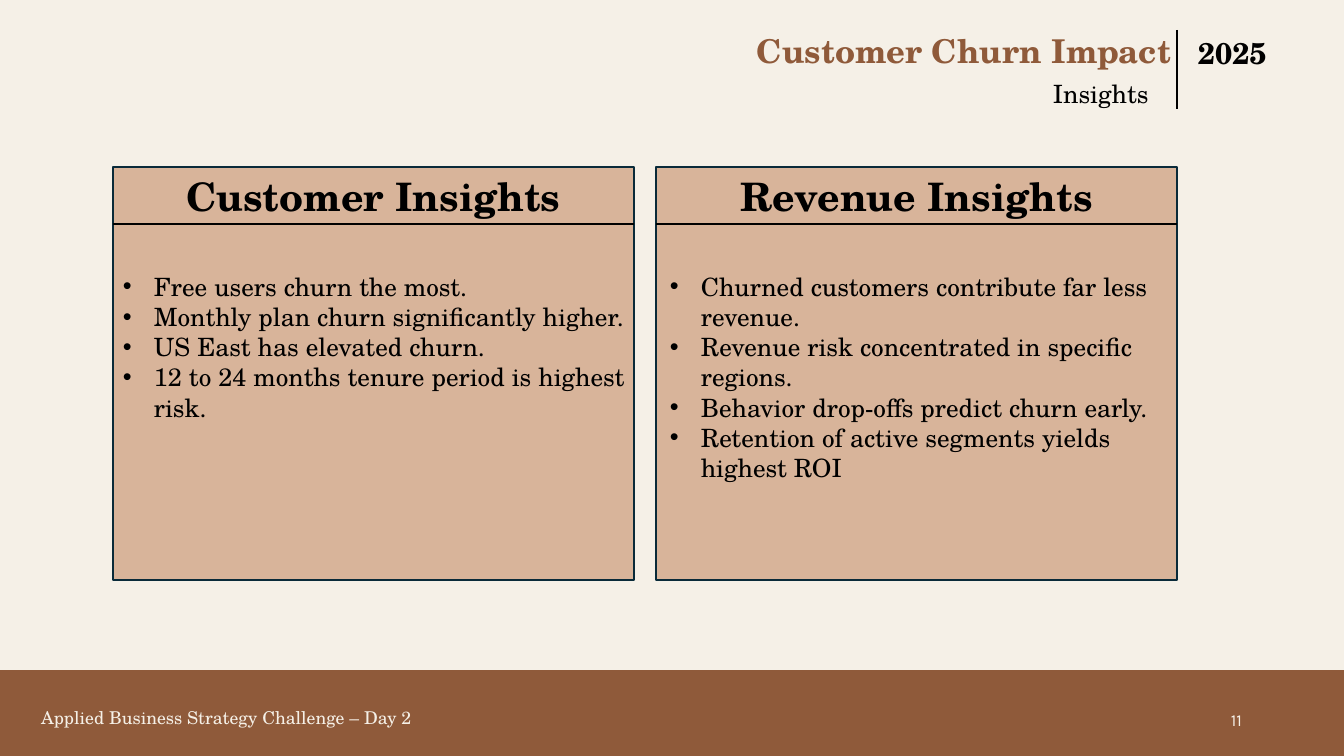
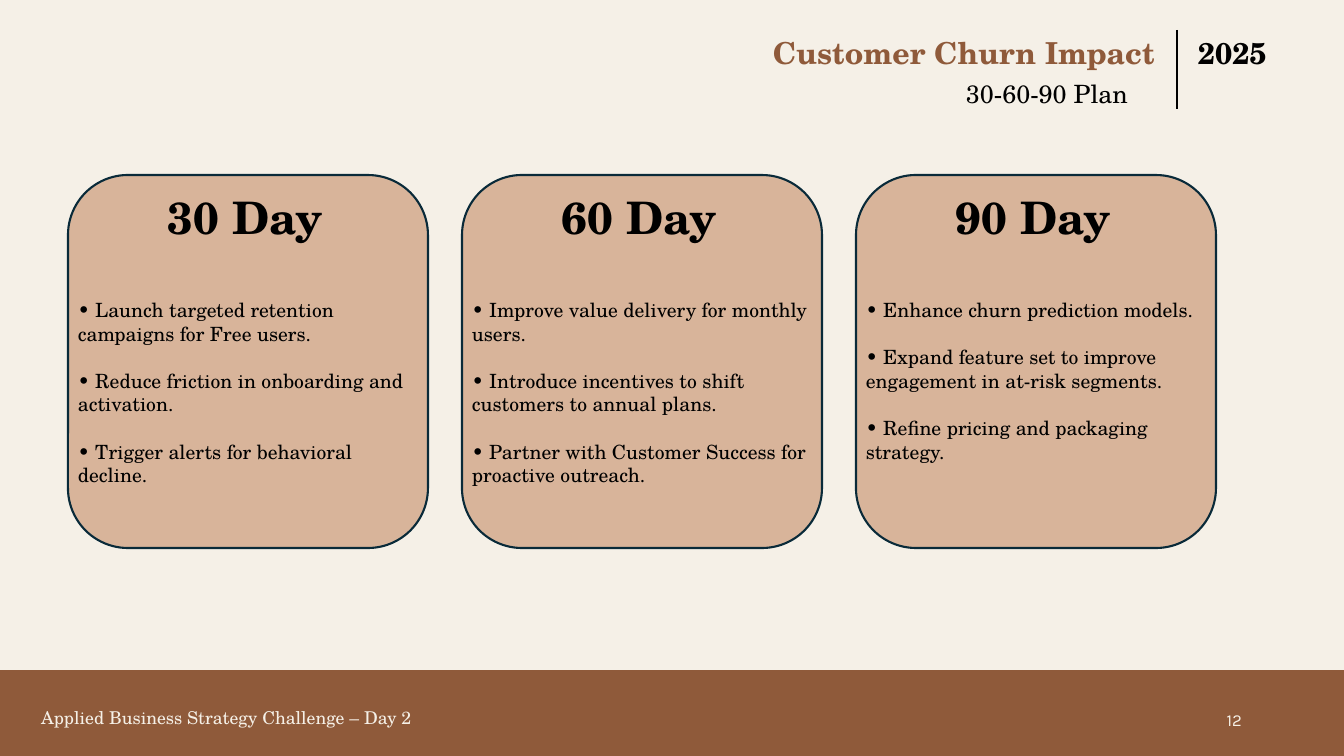
from lxml.etree import SubElement
from pptx import Presentation
from pptx.dml.color import RGBColor
from pptx.enum.shapes import MSO_CONNECTOR, MSO_SHAPE
from pptx.enum.text import MSO_ANCHOR, MSO_AUTO_SIZE, PP_ALIGN
from pptx.oxml.ns import qn
from pptx.util import Pt

EMU_PER_PX = 914400 / 100.8


def px(n):
    """Turn pixels into EMU."""
    return round(n * EMU_PER_PX)


def rgb(code):
    """Turn a hex string into a colour."""
    return RGBColor.from_string(code)


class Deck:
    """Hold the shared style and the current slide."""

    FONT = "TeX Gyre Schola"
    NUMBER_FONT = "Karla"
    PAPER = "F5F0E7"
    BROWN = "8F5A3A"
    TAN = "D8B49A"
    NAVY = "092A39"
    BLACK = "000000"

    def __init__(self):
        """Start a presentation with its size and background."""
        self.prs = Presentation()
        self.prs.slide_width, self.prs.slide_height = px(1344), px(756)
        fill = self.prs.slide_master.background.fill
        fill.solid()
        fill.fore_color.rgb = rgb(self.PAPER)
        self.s = None

    def add_slide(self, number, subtitle, subtitle_x, title_size):
        """Add a slide with its header and footer band."""
        self.s = self.prs.slides.add_slide(self.prs.slide_layouts[5])
        self.box(0, 670, 1344, 86, self.BROWN)
        self.text(8, 692, 436, 40, ["Applied Business Strategy Challenge – Day 2"], 12.6,
                  color=self.PAPER, align=PP_ALIGN.CENTER, anchor=MSO_ANCHOR.BOTTOM, spacing=0.7)
        self.text(950, 700, 302, 40, [str(number)], 12, color=self.PAPER,
                  align=PP_ALIGN.RIGHT, anchor=MSO_ANCHOR.MIDDLE, font=self.NUMBER_FONT)

        title = self.s.shapes.title
        title.left, title.top, title.width, title.height = px(739), px(30), px(450), px(46)
        self.set_text(title, ["Customer Churn Impact"], title_size, color=self.BROWN, bold=True,
                      align=PP_ALIGN.CENTER, anchor=MSO_ANCHOR.BOTTOM, spacing=0.9)
        self.text(1188, 30, 93, 46, ["2025"], 21.4, bold=True,
                  anchor=MSO_ANCHOR.BOTTOM, spacing=0.9)
        self.text(subtitle_x, 73, 1172 - subtitle_x, 40, [subtitle], 18)
        self.line(1177, 30, 1177, 109)

    def box(self, x, y, w, h, fill, line=None, kind=MSO_SHAPE.RECTANGLE):
        """Add a filled preset shape, outlined if a line colour is given."""
        sp = self.s.shapes.add_shape(kind, px(x), px(y), px(w), px(h))
        sp.shadow.inherit = False
        sp.fill.solid()
        sp.fill.fore_color.rgb = rgb(fill)
        if line:
            sp.line.color.rgb = rgb(line)
            sp.line.width = Pt(1.5)
        else:
            sp.line.fill.background()

    def card(self, x, y, w, h, kind=MSO_SHAPE.RECTANGLE):
        """Add a tan card with a dark outline."""
        self.box(x, y, w, h, self.TAN, self.NAVY, kind)

    def line(self, x1, y1, x2, y2):
        """Add a thin black line."""
        cx = self.s.shapes.add_connector(MSO_CONNECTOR.STRAIGHT, px(x1), px(y1), px(x2), px(y2))
        cx.line.color.rgb = rgb(self.BLACK)
        cx.line.width = Pt(1.5)
        SubElement(cx._element.spPr, qn("a:effectLst"))

    def text(self, x, y, w, h, lines, size, **style):
        """Add a text box with one paragraph per line."""
        sp = self.s.shapes.add_textbox(px(x), px(y), px(w), px(h))
        self.set_text(sp, lines, size, **style)
        return sp

    def set_text(self, sp, lines, size, color=BLACK, bold=False, align=PP_ALIGN.LEFT,
                 anchor=MSO_ANCHOR.TOP, spacing=1.0, gap=0, font=FONT):
        """Fill a shape with formatted paragraphs."""
        tf = sp.text_frame
        tf.text = "\n".join(lines)
        tf.word_wrap = True
        tf.auto_size = MSO_AUTO_SIZE.NONE
        tf.vertical_anchor = anchor
        for i, p in enumerate(tf.paragraphs):
            p.alignment = align
            p.line_spacing = spacing
            p.space_before = Pt(gap if i else 0)
            for r in p.runs:
                r.font.name = font
                r.font.size = Pt(size)
                r.font.bold = bold
                r.font.color.rgb = rgb(color)

    def bullets(self, x, y, w, h, lines, size):
        """Add a bulleted list with a hanging indent."""
        sp = self.text(x, y, w, h, lines, size)
        for p in sp.text_frame.paragraphs:
            pPr = p._p.get_or_add_pPr()
            pPr.set("marL", str(px(31)))
            pPr.set("indent", str(-px(31)))
            SubElement(pPr, qn("a:buFont")).set("typeface", "Arial")
            SubElement(pPr, qn("a:buChar")).set("char", "•")


def insights(deck):
    """Build the two insight cards."""
    deck.add_slide(11, "Insights", 1043, 23.4)
    columns = [
        ("Customer Insights", 113, 535, [
            "Free users churn the most.",
            "Monthly plan churn significantly higher.",
            "US East has elevated churn.",
            "12 to 24 months tenure period is highest risk."]),
        ("Revenue Insights", 660, 517, [
            "Churned customers contribute far less revenue.",
            "Revenue risk concentrated in specific regions.",
            "Behavior drop-offs predict churn early.",
            "Retention of active segments yields highest ROI"]),
    ]
    for i, (heading, list_x, list_w, points) in enumerate(columns):
        x = 113 + i * 543
        deck.card(x, 167, 521, 413)
        deck.text(x, 167, 521, 57, [heading], 28, bold=True, align=PP_ALIGN.CENTER)
        deck.line(x, 224, x + 521, 224)
        deck.bullets(list_x, 266, list_w, 285, points, 18)


def plan(deck):
    """Build the three plan cards."""
    deck.add_slide(12, "30-60-90 Plan", 956, 21.6)
    stages = [
        ("30 Day", [
            "• Launch targeted retention campaigns for Free users.",
            "• Reduce friction in onboarding and activation.",
            "• Trigger alerts for behavioral decline."]),
        ("60 Day", [
            "• Improve value delivery for monthly users.",
            "• Introduce incentives to shift customers to annual plans.",
            "• Partner with Customer Success for proactive outreach."]),
        ("90 Day", [
            "• Enhance churn prediction models.",
            "• Expand feature set to improve engagement in at-risk segments.",
            "• Refine pricing and packaging strategy."]),
    ]
    for i, (heading, actions) in enumerate(stages):
        x = 68 + i * 394
        deck.card(x, 175, 360, 373, MSO_SHAPE.ROUNDED_RECTANGLE)
        deck.text(x + 90, 185, 180, 64, [heading], 32, bold=True)
        deck.text(x, 293, 360, 200, actions, 14, gap=17)


def main():
    """Build and save the presentation."""
    deck = Deck()
    insights(deck)
    plan(deck)
    deck.prs.save("out.pptx")


if __name__ == "__main__":
    main()
